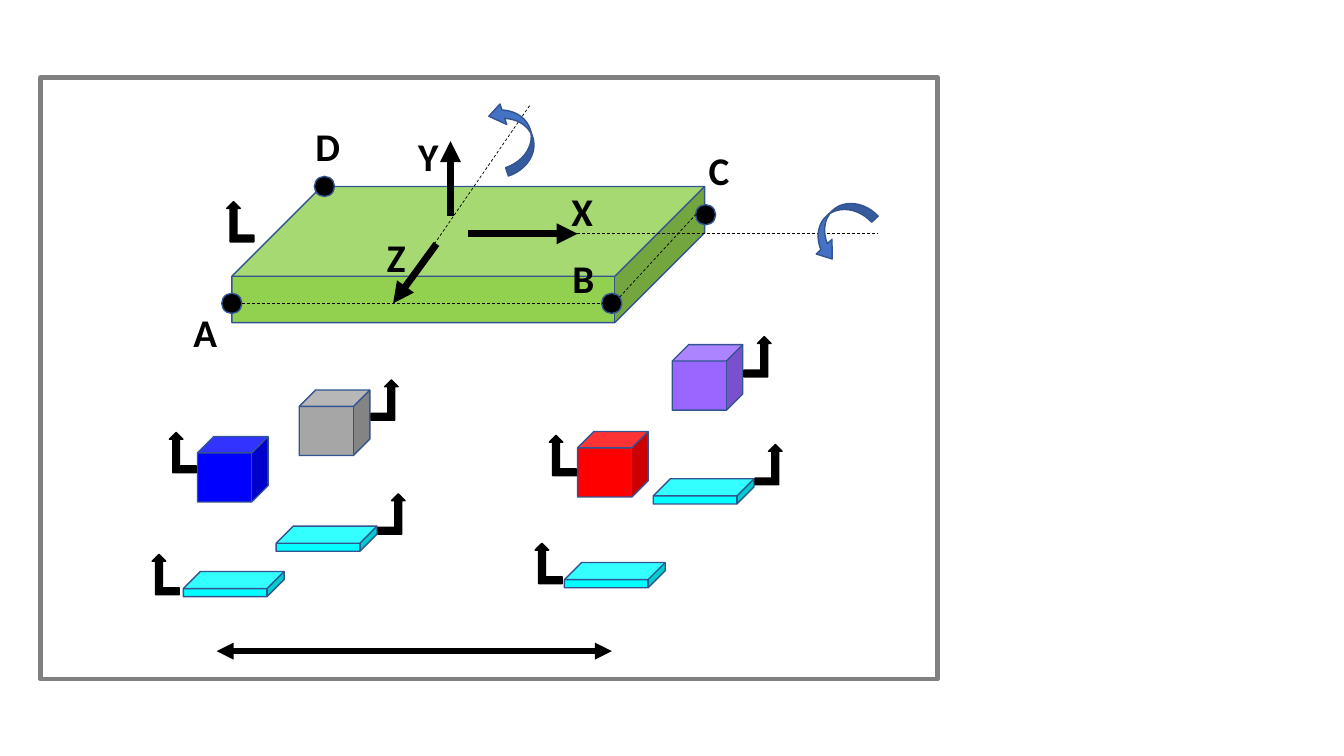
from lxml import etree
from pptx import Presentation
from pptx.dml.color import RGBColor
from pptx.enum import dml, shapes, text
from pptx.oxml import ns
from pptx.util import Pt

COLORS = {
    "black": "000000", "outline": "325491", "plate": "92D050", "blue": "0000FF",
    "red": "FF0000", "grey": "A6A6A6", "purple": "9966FF", "cyan": "00FFFF",
    "curl": "4472C4", "frame": "808080",
}
KIND = shapes.MSO_SHAPE

prs = Presentation()
prs.slide_width, prs.slide_height = Pt(960), Pt(540)
slide = prs.slides.add_slide(prs.slide_layouts[6])


def add_solid(kind, left, top, width, height, fill, line="outline", weight=1, adjustments=()):
    solid = slide.shapes.add_shape(kind, Pt(left), Pt(top), Pt(width), Pt(height))
    solid.shadow.inherit = False
    if fill:
        solid.fill.solid()
        solid.fill.fore_color.rgb = RGBColor.from_string(COLORS[fill])
    else:
        solid.fill.background()
    solid.line.color.rgb = RGBColor.from_string(COLORS[line])
    solid.line.width = Pt(weight)
    for index, value in enumerate(adjustments):
        solid.adjustments[index] = value
    return solid


def add_line(x1, y1, x2, y2, weight, ends=(), dashed=False):
    line = slide.shapes.add_connector(
        shapes.MSO_CONNECTOR.STRAIGHT, Pt(x1), Pt(y1), Pt(x2), Pt(y2))
    line.line.color.rgb = RGBColor.from_string(COLORS["black"])
    line.line.width = Pt(weight)
    if dashed:
        line.line.dash_style = dml.MSO_LINE.DASH
    properties = line._element.spPr
    for end in ends:
        etree.SubElement(properties.find(ns.qn("a:ln")), ns.qn(f"a:{end}"), type="triangle")
    etree.SubElement(properties, ns.qn("a:effectLst"))


add_solid(KIND.CUBE, 165.6, 133.2, 337.7, 97.2, "plate", adjustments=[0.66])

axes = [(334.1, 167, 412.6, 167), (321.8, 154.1, 321.8, 100.8), (311.8, 174.2, 280.8, 216.7)]
for axis in axes:
    add_line(*axis, 5, ends=["tailEnd"])

for left, top in [(158.4, 209.5), (429.8, 209.5), (496.8, 146.2), (224.6, 126)]:
    add_solid(KIND.OVAL, left, top, 14.4, 14.4, "black")

guides = [
    (165.6, 216.7, 437, 216.7), (437.8, 217.4, 496.8, 153.4),
    (355, 167, 627.1, 167), (288, 206.6, 378.7, 74.9),
]
for guide in guides:
    add_line(*guide, 0.5, dashed=True)

labels = [
    ("X", 401, 130.3, 30.2), ("Y", 291.6, 90.7, 30.2), ("Z", 269.3, 163.4, 28.1),
    ("A", 131, 216.7, 31.7), ("B", 401.8, 177.8, 30.2), ("C", 499, 100.8, 30.2),
    ("D", 218.2, 83.5, 32.4),
]
label_format = {"name": "Calibri", "size": Pt(28), "bold": True}
for letter, left, top, width in labels:
    label = slide.shapes.add_textbox(Pt(left), Pt(top), Pt(width), Pt(41)).text_frame
    label.word_wrap = False
    label.auto_size = text.MSO_AUTO_SIZE.SHAPE_TO_FIT_TEXT
    label.text = letter
    font = label.paragraphs[0].runs[0].font
    for attribute, value in label_format.items():
        setattr(font, attribute, value)
    font.color.rgb = RGBColor.from_string(COLORS["black"])

blocks = [
    ("blue", 141.1, 311.8), ("red", 412.6, 308.2),
    ("grey", 213.8, 278.6), ("purple", 480.2, 246.2),
]
for color, left, top in blocks:
    add_solid(KIND.CUBE, left, top, 50.4, 46.8, color)

for left, top in [(197.3, 375.8), (131, 408.2), (403.2, 401.8), (466.6, 342)]:
    add_solid(KIND.CUBE, left, top, 72, 18, "cyan", adjustments=[0.68])

lifts = [
    (531.4, 240.5, False), (265, 271.4, False), (270, 352.8, False), (539.3, 317.5, False),
    (121, 308.9, True), (392.4, 311, True), (162, 144, True),
    (108.7, 396, True), (382.3, 388.1, True),
]
for left, top, mirrored in lifts:
    lift = add_solid(KIND.BENT_UP_ARROW, left, top, 19.4, 28.8, "black", "black")
    if mirrored:
        lift._element.spPr.xfrm.set("flipH", "1")

for left, top, angle in [(340.6, 84.2, 251.9), (573.1, 150.5, 137.1)]:
    curl = add_solid(KIND.CURVED_UP_ARROW, left, top, 52.6, 25.2, "curl",
                     adjustments=[0.25, 0.61, 0.41])
    curl.rotation = angle

add_solid(KIND.RECTANGLE, 28.8, 55.4, 640.8, 429.8, None, "frame", 3.25)
add_line(154.8, 465.1, 437, 465.1, 4, ends=["headEnd", "tailEnd"])

prs.save("out.pptx")
